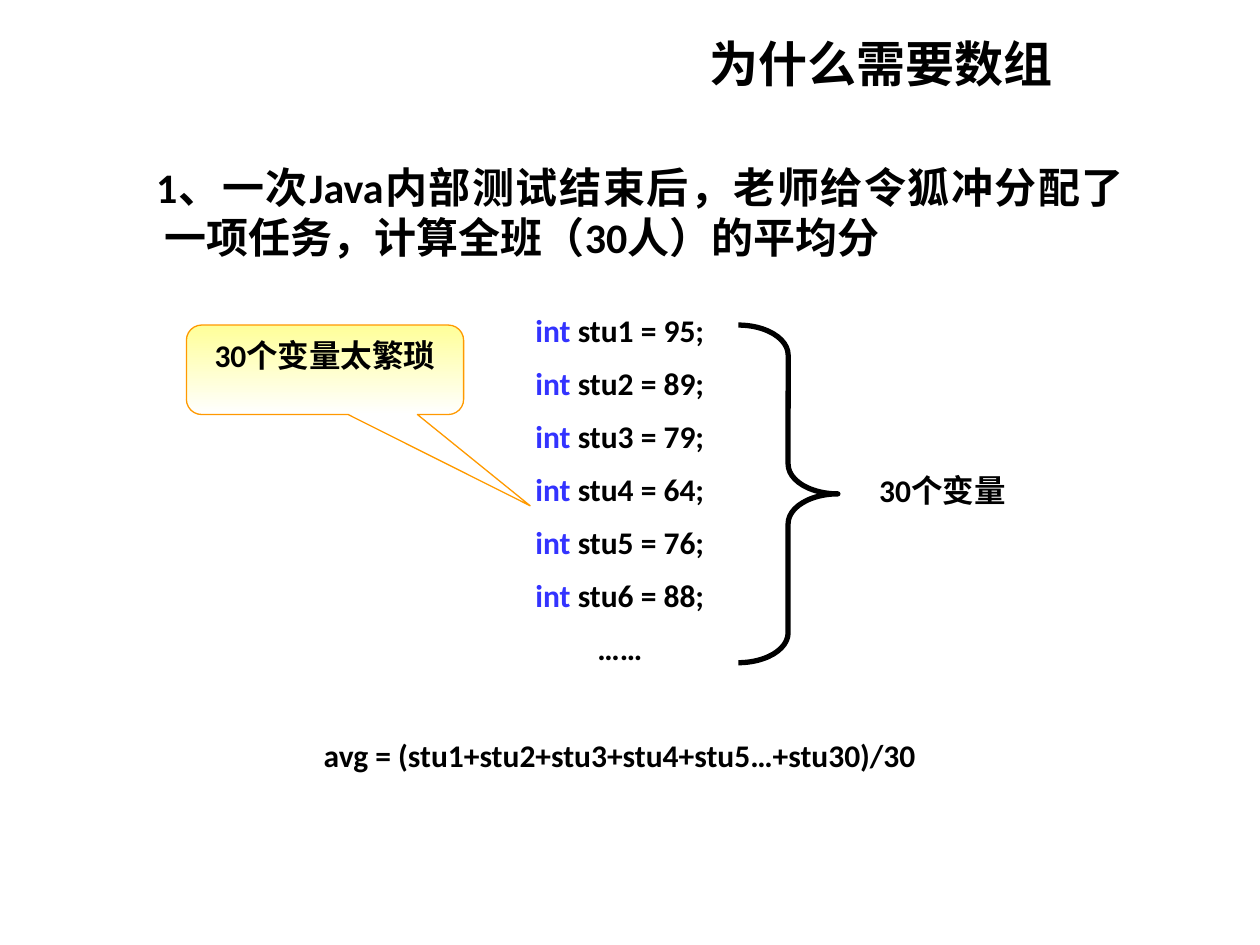
from pptx import Presentation
from pptx.dml.color import RGBColor
from pptx.enum.shapes import MSO_SHAPE
from pptx.enum.text import MSO_ANCHOR, PP_ALIGN
from pptx.util import Inches, Pt

BLACK, BLUE, ORANGE = "000000", "3333FF", "FF9900"
SCORES = [95, 89, 79, 64, 76, 88]
CODE_GAP = 8.7
FORMULA_GAP = 39.3


def rgb(value):
    return RGBColor.from_string(value)


class SlideBuilder:
    font = {"name": "Calibri", "bold": True}

    def __init__(self, slide):
        self.s = slide

    def add_runs(self, p, runs, size=18, margin=0, indent=0, **fmt):
        """Fill a paragraph with (text, colour) runs and apply paragraph formats."""
        for name, length in {"marL": margin, "indent": indent}.items():
            p._p.get_or_add_pPr().set(name, str(Inches(length)))
        for name, value in {"alignment": PP_ALIGN.CENTER, **fmt}.items():
            setattr(p, name, value)
        for text, color in runs:
            r = p.add_run()
            r.text = text
            for name, value in {**self.font, "size": Pt(size)}.items():
                setattr(r.font, name, value)
            r.font.color.rgb = rgb(color)

    def text_box(self, box, paragraphs, anchor=MSO_ANCHOR.TOP):
        """Add a text box from (runs, formats) pairs."""
        tf = self.s.shapes.add_textbox(*map(Inches, box)).text_frame
        tf.word_wrap = True
        tf.vertical_anchor = anchor
        for i, (runs, fmt) in enumerate(paragraphs):
            p = tf.add_paragraph() if i else tf.paragraphs[0]
            self.add_runs(p, runs, **fmt)

    def shape(self, kind, box, adjustments, line, width):
        sp = self.s.shapes.add_shape(kind, *map(Inches, box))
        sp.shadow.inherit = False
        for i, value in enumerate(adjustments):
            sp.adjustments[i] = value
        sp.line.color.rgb = rgb(line)
        sp.line.width = Pt(width)
        return sp

    def brace(self, box):
        sp = self.shape(MSO_SHAPE.RIGHT_BRACE, box, [0.3, 0.5], BLACK, 3)
        sp.fill.background()

    def callout(self, box, text):
        sp = self.shape(MSO_SHAPE.ROUNDED_RECTANGULAR_CALLOUT, box,
                        [0.74, 1.52, 0.17], ORANGE, 0.75)
        sp.fill.gradient()
        sp.fill.gradient_angle = 270
        for stop, color in zip(sp.fill.gradient_stops, ["FFFF99", "FFFFFF"]):
            stop.color.rgb = rgb(color)
        tf = sp.text_frame
        tf.word_wrap = True
        tf.vertical_anchor = MSO_ANCHOR.TOP
        self.add_runs(tf.paragraphs[0], [(text, BLACK)])


def code_paragraphs():
    lines = [[("int", BLUE), (f" stu{n} = {score};", BLACK)]
             for n, score in enumerate(SCORES, 1)]
    lines.append([("……", BLACK)])
    paragraphs = [(runs, {"space_before": Pt(CODE_GAP if i else 0)})
                  for i, runs in enumerate(lines)]
    formula = [("avg = (stu1+stu2+stu3+stu4+stu5…+stu30)/30", BLACK)]
    return paragraphs + [(formula, {"space_before": Pt(FORMULA_GAP)})]


def main():
    prs = Presentation()
    prs.slide_width, prs.slide_height = Inches(10), Inches(7.5)
    b = SlideBuilder(prs.slides.add_slide(prs.slide_layouts[6]))

    task = "1、一次Java内部测试结束后，老师给令狐冲分配了一项任务，计算全班（30人）的平均分"
    task_format = {"size": 24, "alignment": PP_ALIGN.JUSTIFY,
                   "margin": 0.38, "indent": -0.07}
    b.text_box((0.83, 1.23, 8.19, 1.62), [([(task, BLACK)], task_format)])
    b.text_box((4.45, 0.16, 5.08, 0.68),
               [([("为什么需要数组", BLACK)], {"size": 28})], MSO_ANCHOR.MIDDLE)
    b.text_box((1.02, 2.42, 7.8, 4.01), code_paragraphs())
    b.brace((5.86, 2.58, 0.79, 2.68))
    b.text_box((6.81, 3.69, 1.34, 0.37), [([("30个变量", BLACK)], {})])
    b.callout((1.48, 2.58, 2.2, 0.71), "30个变量太繁琐")

    prs.save("out.pptx")


if __name__ == "__main__":
    main()
